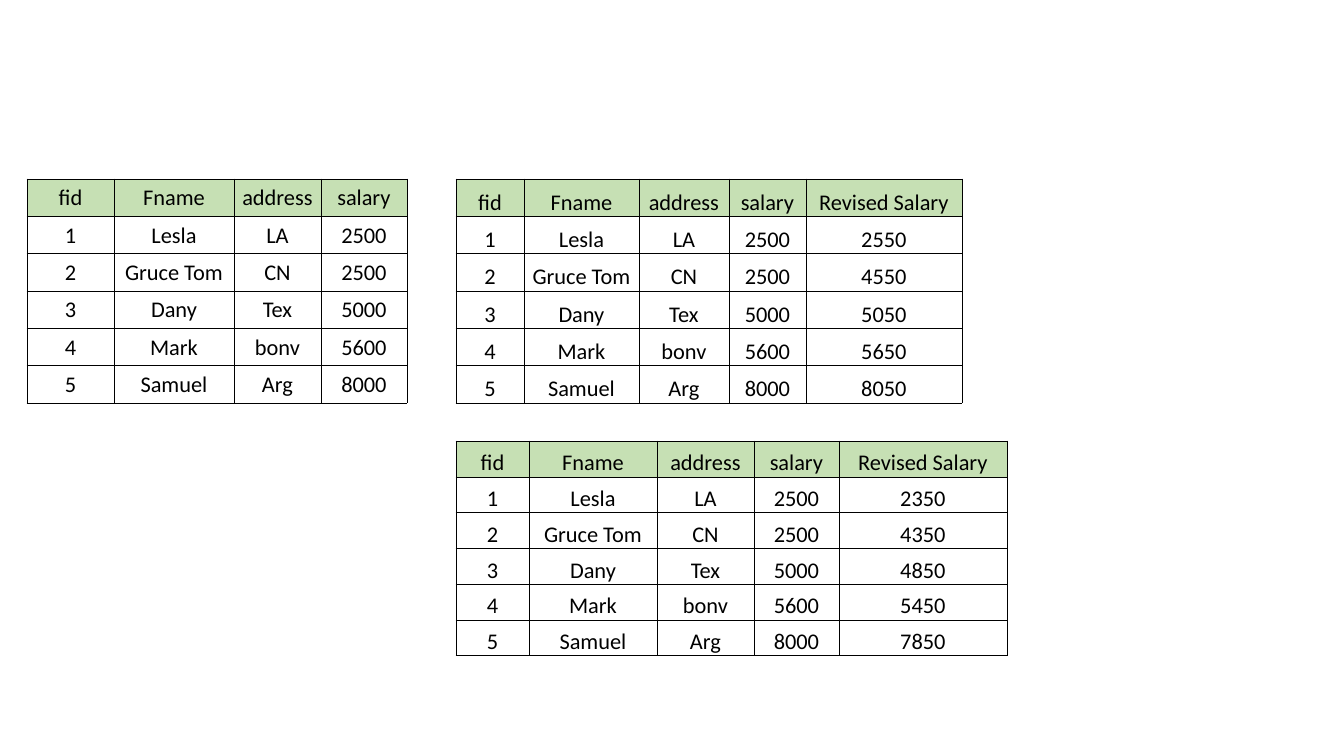
from dataclasses import dataclass

from lxml import etree
from pptx import Presentation
from pptx.dml.color import RGBColor
from pptx.enum.text import MSO_ANCHOR, PP_ALIGN
from pptx.oxml.ns import qn
from pptx.slide import Slide
from pptx.table import _Cell
from pptx.util import Emu, Pt

MIDDLE = MSO_ANCHOR.MIDDLE
BOTTOM = MSO_ANCHOR.BOTTOM
CENTER = PP_ALIGN.CENTER

EMU_PER_PX = 914400 / 100.8
BLANK_LAYOUT = 6
BLACK = "000000"
HEADER_GREEN = "C6E0B4"
FONT_NAME = "Calibri"
BORDER_TAGS = ("a:lnL", "a:lnR", "a:lnT", "a:lnB")

HEADINGS = ["fid", "Fname", "address", "salary"]
EMPLOYEES = [
    ["1", "Lesla", "LA", "2500"],
    ["2", "Gruce Tom", "CN", "2500"],
    ["3", "Dany", "Tex", "5000"],
    ["4", "Mark", "bonv", "5600"],
    ["5", "Samuel", "Arg", "8000"],
]


@dataclass(frozen=True)
class SalaryTable:
    left: int
    top: int
    height: int
    column_widths: tuple[int, ...]
    anchor: MSO_ANCHOR
    revised_salaries: tuple[int, ...] = ()

    def rows(self) -> list[list[str]]:
        if not self.revised_salaries:
            return [HEADINGS, *EMPLOYEES]
        revised_rows = [
            [*employee, str(salary)]
            for employee, salary in zip(EMPLOYEES, self.revised_salaries)
        ]
        return [[*HEADINGS, "Revised Salary"], *revised_rows]


SALARY_TABLES = [
    SalaryTable(27, 179, 224, (87, 120, 87, 86), MIDDLE),
    SalaryTable(456, 179, 224, (68, 115, 90, 77, 156), BOTTOM,
                (2550, 4550, 5050, 5650, 8050)),
    SalaryTable(456, 441, 215, (73, 128, 97, 85, 168), BOTTOM,
                (2350, 4350, 4850, 5450, 7850)),
]


def px(length: float) -> Emu:
    return Emu(round(length * EMU_PER_PX))


def color(value: str) -> RGBColor:
    return RGBColor.from_string(value)


def add_borders(cell: _Cell) -> None:
    properties = cell._tc.get_or_add_tcPr()
    for tag in BORDER_TAGS:
        line = etree.SubElement(properties, qn(tag), w=str(Pt(0.5)))
        fill = etree.SubElement(line, qn("a:solidFill"))
        etree.SubElement(fill, qn("a:srgbClr"), val=BLACK)


def format_cell(cell: _Cell, text: str, anchor: MSO_ANCHOR, is_header: bool) -> None:
    cell.margin_left = cell.margin_right = cell.margin_top = px(1)
    cell.margin_bottom = 0
    cell.vertical_anchor = anchor
    add_borders(cell)
    if is_header:
        cell.fill.solid()
        cell.fill.fore_color.rgb = color(HEADER_GREEN)
    else:
        cell.fill.background()
    cell.text = text
    paragraph = cell.text_frame.paragraphs[0]
    paragraph.alignment = CENTER
    paragraph.font.name = FONT_NAME
    paragraph.font.size = Pt(16)
    paragraph.font.color.rgb = color(BLACK)


def add_salary_table(slide: Slide, salary_table: SalaryTable) -> None:
    rows = salary_table.rows()
    widths = salary_table.column_widths
    shape = slide.shapes.add_table(
        len(rows), len(widths),
        px(salary_table.left), px(salary_table.top),
        px(sum(widths)), px(salary_table.height),
    )
    table = shape.table
    table.first_row = False
    table.horz_banding = False
    for column, width in zip(table.columns, widths):
        column.width = px(width)
    for row_index, row in enumerate(rows):
        table.rows[row_index].height = px(salary_table.height / len(rows))
        for column_index, text in enumerate(row):
            cell = table.cell(row_index, column_index)
            format_cell(cell, text, salary_table.anchor, row_index == 0)


def main() -> None:
    presentation = Presentation()
    presentation.slide_width = px(1344)
    presentation.slide_height = px(756)
    slide = presentation.slides.add_slide(presentation.slide_layouts[BLANK_LAYOUT])
    for salary_table in SALARY_TABLES:
        add_salary_table(slide, salary_table)
    presentation.save("out.pptx")


if __name__ == "__main__":
    main()
